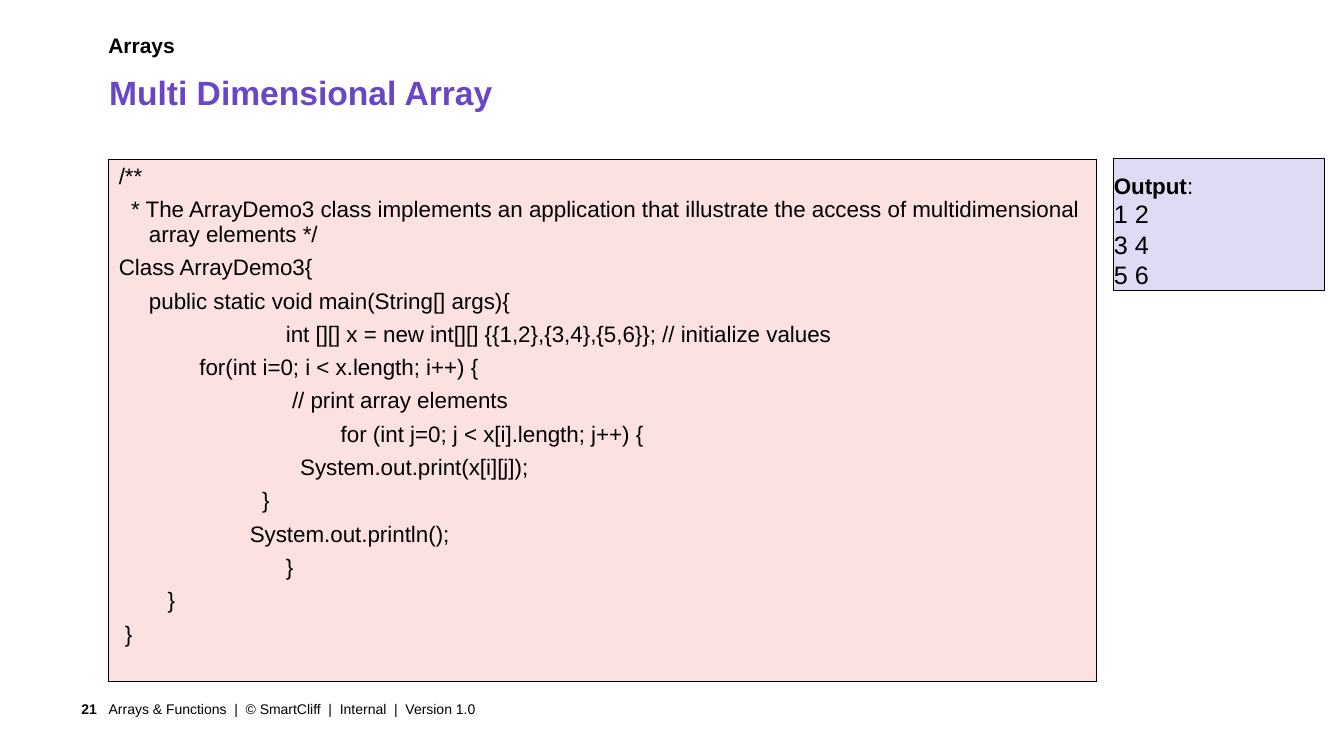
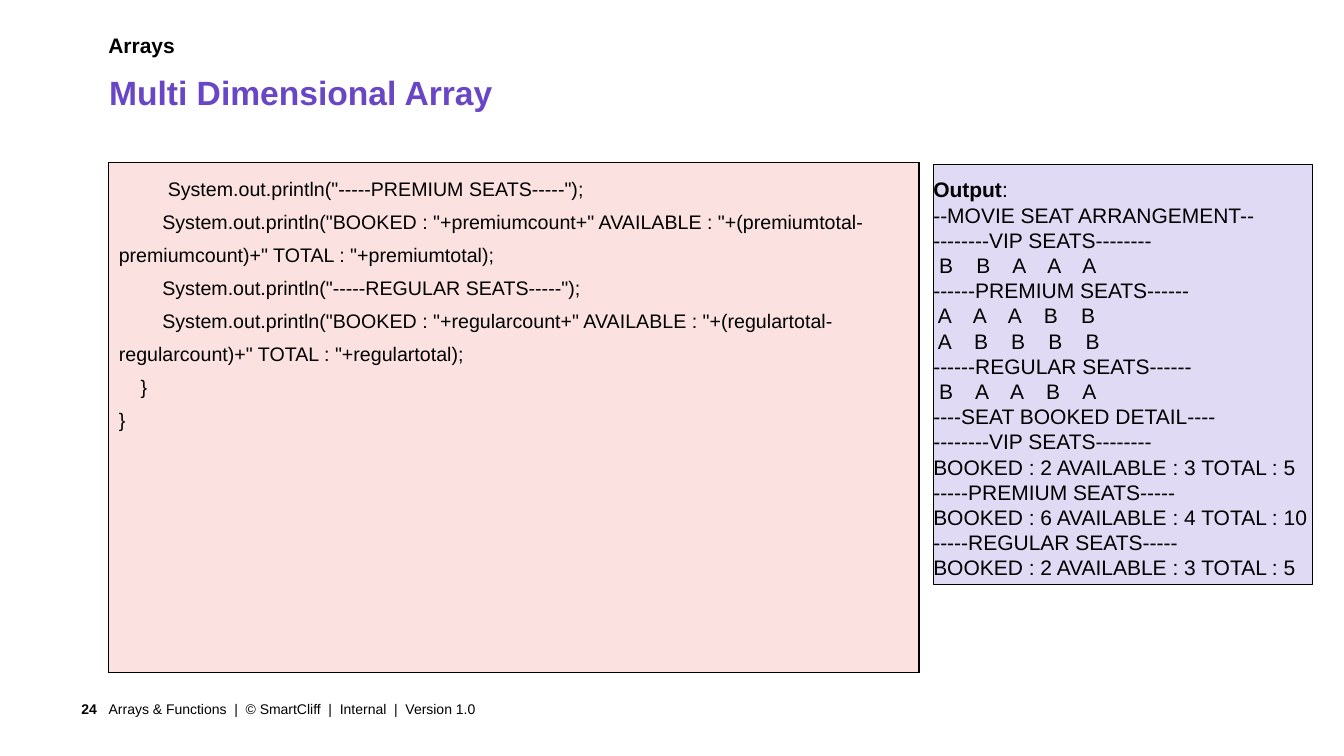
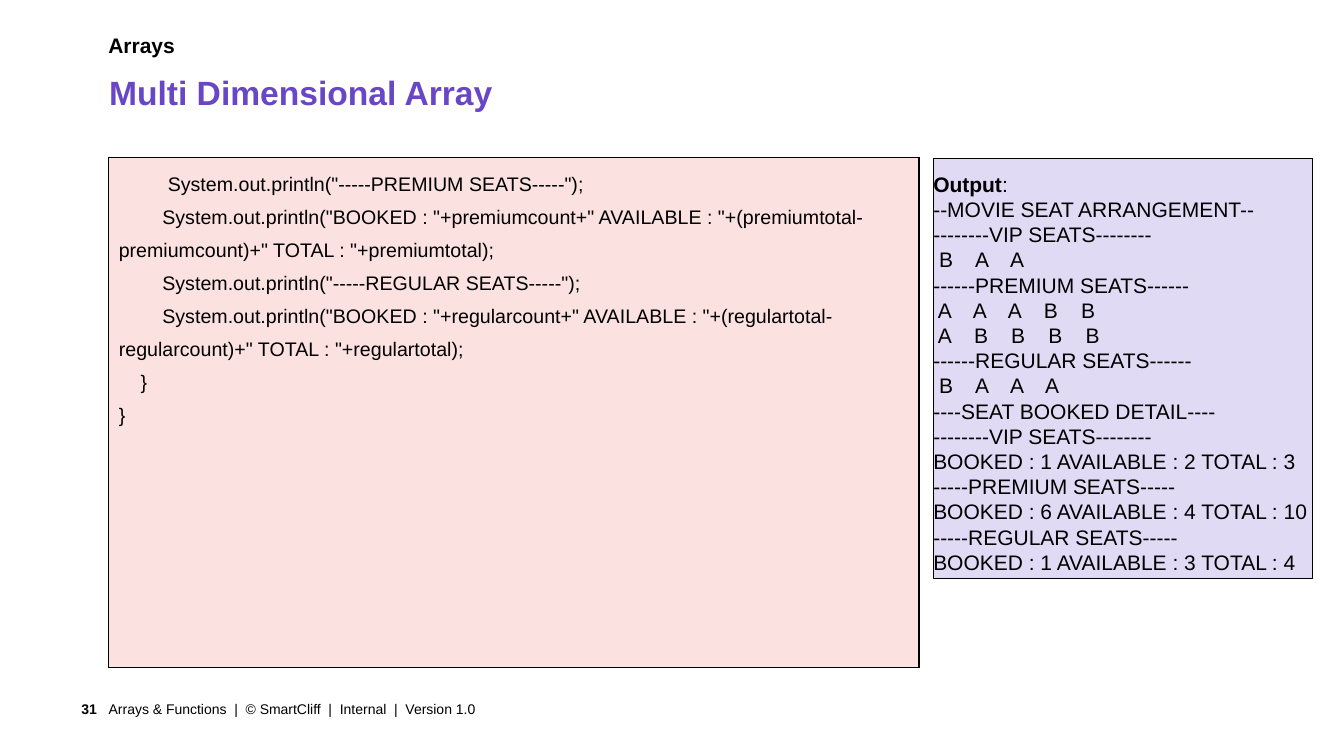
import pptx
import pptx.dml.color
import pptx.enum.shapes
import pptx.enum.text
import pptx.oxml
import pptx.oxml.ns
import pptx.util

Cm, Pt = pptx.util.Cm, pptx.util.Pt
ANCHOR = pptx.enum.text.MSO_ANCHOR
ALIGN = pptx.enum.text.PP_ALIGN

COLOURS = {"text": "000000", "title": "6846C6", "code": "FBE2E0",
           "output": "E1DAF4", "border": "000000", "page": "FFFFFF"}
FONT = "Arial"
HANG = Cm(0.76)
HEADER_BOX = (2.73, 0.81, 30.33, 2.06)
FOOTER_BOX = (1.07, 17.48, 25.45, 0.79)
NUMBER_WIDTH = 1.67

ARRAY_CODE = [
    "/**",
    "  * The ArrayDemo3 class implements an application that illustrate "
    "the access of multidimensional array elements */",
    "Class ArrayDemo3{",
    "\tpublic static void main(String[] args){",
    " " * 27 + "int [][] x = new int[][] {{1,2},{3,4},{5,6}}; // initialize values",
    "\t\tfor(int i=0; i < x.length; i++) {",
    " " * 28 + "// print array elements",
    "\t" + " " * 31 + "for (int j=0; j < x[i].length; j++) {",
    "\t\t\t\tSystem.out.print(x[i][j]);",
    "\t\t\t  }",
    "\t\t\tSystem.out.println();",
    " " * 27 + "}",
    "\t   }",
    " }",
]

SEAT_CODE = [
    '         System.out.println("-----PREMIUM SEATS-----");',
    '        System.out.println("BOOKED : "+premiumcount+" AVAILABLE : "'
    '+(premiumtotal-premiumcount)+" TOTAL : "+premiumtotal);',
    '        System.out.println("-----REGULAR SEATS-----");',
    '        System.out.println("BOOKED : "+regularcount+" AVAILABLE : "'
    '+(regulartotal-regularcount)+" TOTAL : "+regulartotal);',
    "    }",
    "}",
]


def rgb(name):
    return pptx.dml.color.RGBColor.from_string(COLOURS[name])


def add_run(paragraph, text, size, bold=False, colour="text"):
    run = paragraph.add_run()
    run.text = text
    run.font.name = FONT
    run.font.size = Pt(size)
    run.font.bold = bold
    run.font.color.rgb = rgb(colour)


def next_paragraph(frame, index):
    return frame.add_paragraph() if index else frame.paragraphs[0]


def set_insets(frame, left=0, top=0, right=0, bottom=0):
    frame.margin_left, frame.margin_top = Cm(left), Cm(top)
    frame.margin_right, frame.margin_bottom = Cm(right), Cm(bottom)


def add_label(slide, box, text, size, bold=False, colour="text",
              insets=(0, 0, 0, 0), anchor=ANCHOR.TOP, align=ALIGN.LEFT):
    frame = slide.shapes.add_textbox(*map(Cm, box)).text_frame
    frame.word_wrap = True
    frame.vertical_anchor = anchor
    set_insets(frame, *insets)
    frame.paragraphs[0].alignment = align
    add_run(frame.paragraphs[0], text, size, bold, colour)


def add_header(slide, box):
    left, top, width, height = box
    add_label(slide, (left, top, width, height / 2), "Arrays", 15, True)
    add_label(slide, (left + 0.02, top + 0.99, width, height / 2),
              "Multi Dimensional Array", 24, True, "title")


def add_footer(slide, box, number):
    left, top, width, height = box
    add_label(slide, (left, top, NUMBER_WIDTH, height), str(number), 10, True,
              insets=(0.25, 0.13, 0.3, 0.13), anchor=ANCHOR.MIDDLE,
              align=ALIGN.RIGHT)
    add_label(slide, (left + NUMBER_WIDTH, top, width - NUMBER_WIDTH, height),
              "Arrays & Functions  |  © SmartCliff  |  Internal  |  Version 1.0",
              10, insets=(0, 0.13, 0.25, 0.13), anchor=ANCHOR.MIDDLE)


def add_borders(cell):
    properties = cell._tc.get_or_add_tcPr()
    for side in ("lnL", "lnR", "lnT", "lnB"):
        properties.append(pptx.oxml.parse_xml(
            f'<a:{side} {pptx.oxml.ns.nsdecls("a")} w="{Pt(1)}"><a:solidFill>'
            f'<a:srgbClr val="{COLOURS["border"]}"/></a:solidFill></a:{side}>'))


def add_code(slide, box, lines, size, hanging, space_before=0, line_spacing=1.0):
    """Put code in a one-cell table; the first `hanging` lines hang."""
    table = slide.shapes.add_table(1, 1, *map(Cm, box)).table
    table.first_row = table.horz_banding = False
    cell = table.cell(0, 0)
    add_borders(cell)
    cell.fill.solid()
    cell.fill.fore_color.rgb = rgb("code")
    for index, line in enumerate(lines):
        paragraph = next_paragraph(cell.text_frame, index)
        paragraph.line_spacing = line_spacing
        if index:
            paragraph.space_before = Pt(space_before)
        if index < hanging:
            properties = paragraph._p.get_or_add_pPr()
            properties.set("marL", str(HANG))
            properties.set("indent", str(-HANG))
        add_run(paragraph, line, size)


def add_output(slide, box, lines, size, heading_size):
    panel = slide.shapes.add_shape(
        pptx.enum.shapes.MSO_SHAPE.RECTANGLE, *map(Cm, box))
    panel.shadow.inherit = False
    panel.fill.solid()
    panel.fill.fore_color.rgb = rgb("output")
    panel.line.color.rgb = rgb("border")
    panel.line.width = Pt(0.75)
    frame = panel.text_frame
    frame.word_wrap = True
    frame.auto_size = pptx.enum.text.MSO_AUTO_SIZE.SHAPE_TO_FIT_TEXT
    frame.vertical_anchor = ANCHOR.TOP
    set_insets(frame)
    heading = frame.paragraphs[0]
    heading.alignment = ALIGN.LEFT
    heading.line_spacing = 1.5
    add_run(heading, "Output", heading_size, True)
    add_run(heading, ":", heading_size)
    for line in lines:
        paragraph = frame.add_paragraph()
        paragraph.alignment = ALIGN.LEFT
        add_run(paragraph, line, size)


def seat_report(vip, premium, regular):
    """Return the printed seat plan and counts; each class is a list of rows."""
    classes = [("VIP", vip, 8, 8), ("PREMIUM", premium, 6, 5),
               ("REGULAR", regular, 6, 5)]
    plan, detail = [], []
    for name, rows, plan_dashes, detail_dashes in classes:
        seats = "".join(rows)
        booked, total = seats.count("B"), len(seats)
        plan.append("-" * plan_dashes + f"{name} SEATS" + "-" * plan_dashes)
        plan += [" " + "    ".join(row) for row in rows]
        detail.append("-" * detail_dashes + f"{name} SEATS" + "-" * detail_dashes)
        detail.append(f"BOOKED : {booked} AVAILABLE : {total - booked} TOTAL : {total}")
    return ["--MOVIE SEAT ARRANGEMENT--", *plan,
            "----SEAT BOOKED DETAIL----", *detail]


def add_page(deck, number):
    slide = deck.slides.add_slide(deck.slide_layouts[6])
    slide.background.fill.solid()
    slide.background.fill.fore_color.rgb = rgb("page")
    add_header(slide, HEADER_BOX)
    add_footer(slide, FOOTER_BOX, number)
    return slide


def add_array_page(deck, number):
    slide = add_page(deck, number)
    add_code(slide, (2.74, 4.01, 24.89, 13.08), ARRAY_CODE, 16,
             hanging=len(ARRAY_CODE), space_before=6)
    add_output(slide, (28.07, 3.99, 5.31, 3.33), ["1 2", "3 4", "5 6"], 18, 16)


def add_seat_page(deck, number, code_top, output_top, vip, regular):
    slide = add_page(deck, number)
    add_code(slide, (2.74, code_top, 20.42, 12.85), SEAT_CODE, 14,
             hanging=1, line_spacing=1.5)
    add_output(slide, (23.52, output_top, 9.55, 10.59),
               seat_report([vip], ["AAABB", "ABBBB"], [regular]), 15, 15)


def main():
    deck = pptx.Presentation()
    deck.slide_width, deck.slide_height = Cm(33.87), Cm(19.05)
    add_array_page(deck, 21)
    add_seat_page(deck, 24, 4.1, 4.14, "BBAAA", "BAABA")
    add_seat_page(deck, 31, 3.97, 4, "BAA", "BAAA")
    deck.save("out.pptx")


if __name__ == "__main__":
    main()
